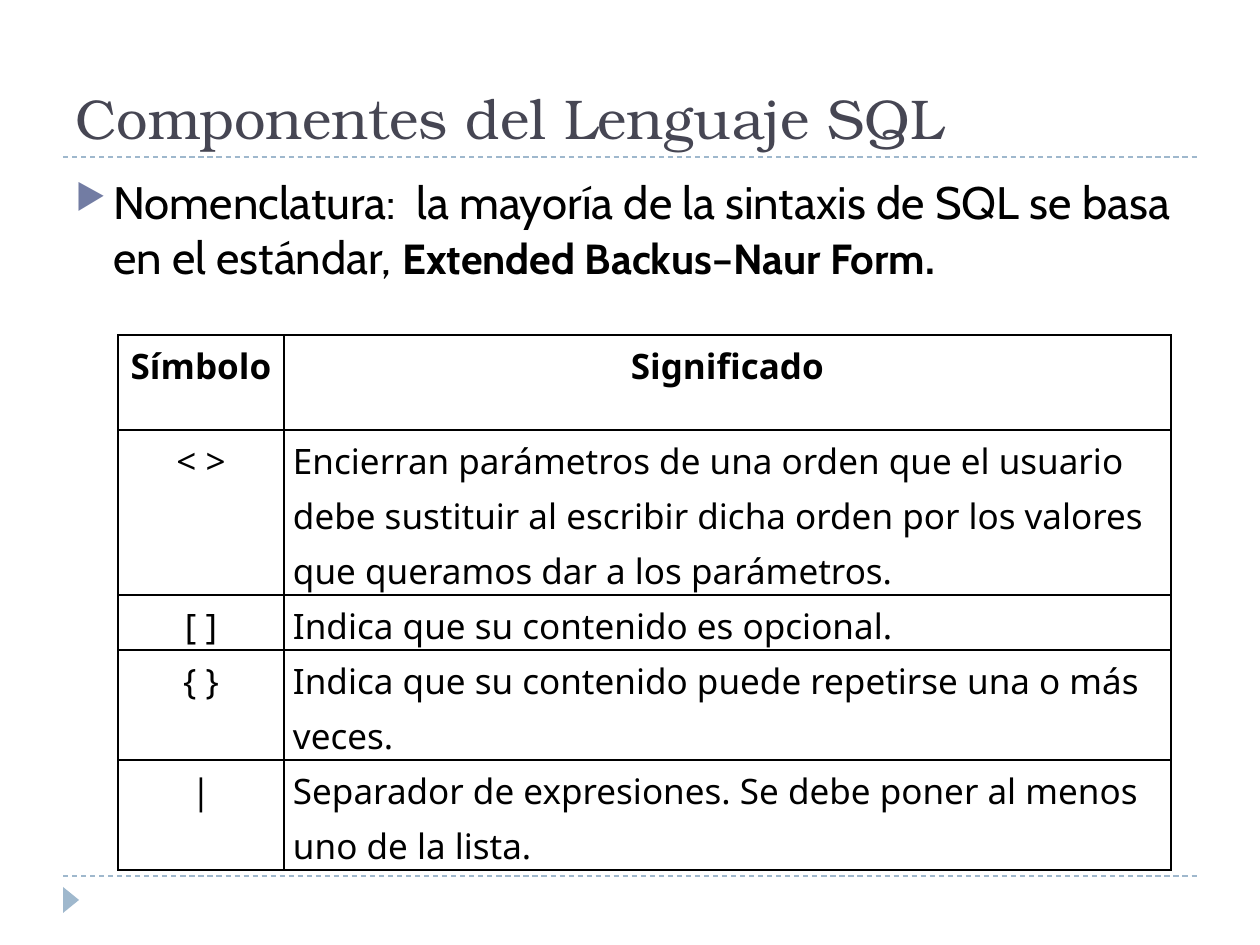
from dataclasses import dataclass

from lxml.etree import SubElement
from pptx import Presentation
from pptx.dml.color import RGBColor
from pptx.enum.dml import MSO_LINE
from pptx.enum.shapes import MSO_CONNECTOR, MSO_SHAPE
from pptx.enum.text import MSO_ANCHOR, PP_ALIGN
from pptx.oxml.ns import qn
from pptx.util import Emu, Pt

EMU_PER_PX = 914400 / 126


@dataclass(frozen=True)
class Theme:
    ink: str = "000000"
    heading: str = "464653"
    accent: str = "9FB8CD"
    bullet: str = "727CA3"
    heading_font: str = "TeX Gyre Bonum"
    body_font: str = "Cabin"
    table_font: str = "Noto Sans"
    heading_size: int = 32
    body_size: int = 26
    strong_size: int = 24
    table_size: int = 20


def px(length):
    return Emu(round(length * EMU_PER_PX))


def apply_format(target, values):
    for name, value in values.items():
        setattr(target, name, value)


def add_element(parent, tag, **attributes):
    return SubElement(parent, qn(tag), attributes)


class SlideBuilder:
    def __init__(self, slide, theme):
        self.slide = slide
        self.theme = theme

    def rule(self, left, right, top):
        line = self.slide.shapes.add_connector(
            MSO_CONNECTOR.STRAIGHT, px(left), px(top), px(right), px(top)
        )
        line.line.color.rgb = RGBColor.from_string(self.theme.accent)
        apply_format(line.line, {"width": Pt(0.75), "dash_style": MSO_LINE.DASH})
        add_element(line._element.spPr, "a:effectLst")

    def marker(self, left, top, width, height):
        shape = self.slide.shapes.add_shape(
            MSO_SHAPE.ISOSCELES_TRIANGLE, *map(px, (left, top, width, height))
        )
        shape.rotation = 90
        shape.shadow.inherit = False
        shape.fill.solid()
        shape.fill.fore_color.rgb = RGBColor.from_string(self.theme.accent)
        shape.line.fill.background()

    def span(self, para, text, font, size, color, bold=False):
        span = para.add_run()
        span.text = text
        apply_format(span.font, {"name": font, "size": Pt(size), "bold": bold})
        span.font.color.rgb = RGBColor.from_string(color)

    def text(self, left, top, width, height, anchor):
        box = self.slide.shapes.add_textbox(*map(px, (left, top, width, height)))
        apply_format(box.text_frame, {"word_wrap": True, "vertical_anchor": anchor})
        return box.text_frame.paragraphs[0]

    def bullet(self, para, indent):
        para.space_before = Pt(6)
        properties = para._p.get_or_add_pPr()
        properties.set("marL", str(px(indent)))
        properties.set("indent", str(-px(indent)))
        color = add_element(properties, "a:buClr")
        add_element(color, "a:srgbClr", val=self.theme.bullet)
        add_element(properties, "a:buSzPct", val="76000")
        add_element(properties, "a:buChar", char="▶")

    def borders(self, cell):
        properties = cell._tc.get_or_add_tcPr()
        for side in ("L", "R", "T", "B"):
            line = add_element(properties, f"a:ln{side}", w=str(Pt(1)))
            fill = add_element(line, "a:solidFill")
            add_element(fill, "a:srgbClr", val=self.theme.ink)

    def cell(self, cell, text, heading, centred):
        apply_format(cell, {
            "margin_left": px(9), "margin_right": px(9),
            "margin_top": 0, "margin_bottom": 0,
        })
        self.borders(cell)
        cell.fill.background()
        para = cell.text_frame.paragraphs[0]
        apply_format(para, {
            "alignment": PP_ALIGN.CENTER if centred else PP_ALIGN.LEFT,
            "line_spacing": 1.15,
            "space_after": Pt(0 if centred else 10),
        })
        self.span(para, text, self.theme.table_font, self.theme.table_size,
                  self.theme.ink, heading)

    def table(self, left, top, widths, heights, rows):
        table = self.slide.shapes.add_table(
            len(rows), len(widths), px(left), px(top),
            px(sum(widths)), px(sum(heights)),
        ).table
        apply_format(table, {"first_row": False, "horz_banding": False})
        for column, width in zip(table.columns, widths):
            column.width = px(width)
        for row_index, (row, height) in enumerate(zip(rows, heights)):
            table.rows[row_index].height = px(height)
            for column_index, text in enumerate(row):
                heading = row_index == 0
                self.cell(table.cell(row_index, column_index), text,
                          heading, heading or column_index == 0)


SYMBOLS = [
    ("Símbolo", "Significado"),
    ("< >", "Encierran parámetros de una orden que el usuario debe sustituir "
            "al escribir dicha orden por los valores que queramos dar a los "
            "parámetros."),
    ("[ ]", "Indica que su contenido es opcional."),
    ("{ }", "Indica que su contenido puede repetirse una o más veces."),
    ("|", "Separador de expresiones. Se debe poner al menos uno de la lista."),
]


def main():
    deck = Presentation()
    apply_format(deck, {"slide_width": px(1260), "slide_height": px(945)})
    theme = Theme()
    page = SlideBuilder(deck.slides.add_slide(deck.slide_layouts[6]), theme)

    for top in (876, 157):
        page.rule(63, 1197, top)
    page.marker(58, 892, 26, 16)

    title = page.text(63, 21, 1134, 136, MSO_ANCHOR.BOTTOM)
    page.span(title, "Componentes del Lenguaje SQL",
              theme.heading_font, theme.heading_size, theme.heading)

    body = page.text(63, 168, 1134, 680, MSO_ANCHOR.TOP)
    page.bullet(body, 38)
    page.span(body, "Nomenclatura:  la mayoría de la sintaxis de SQL se basa "
                    "en el estándar, ",
              theme.body_font, theme.body_size, theme.ink)
    page.span(body, "Extended Backus–Naur Form.",
              theme.body_font, theme.strong_size, theme.ink, True)

    line_height = 55
    heights = [95] + [line_height * lines for lines in (3, 1, 2, 2)]
    page.table(118, 335, (166, 887), heights, SYMBOLS)
    deck.save("out.pptx")


if __name__ == "__main__":
    main()
